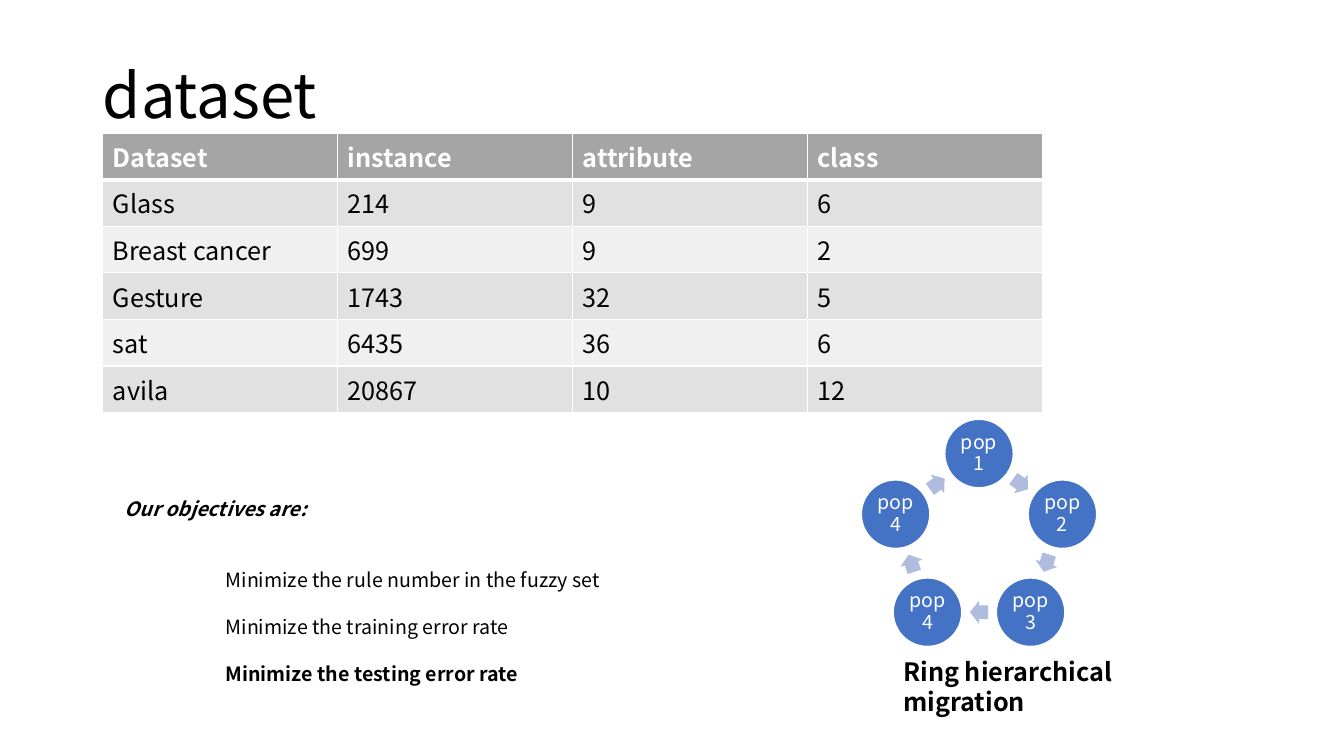
from math import cos, radians, sin

from lxml.etree import SubElement
from pptx import Presentation
from pptx.dml.color import RGBColor
from pptx.enum.shapes import MSO_SHAPE as Form
from pptx.enum.text import MSO_ANCHOR as Anchor, PP_ALIGN as Align
from pptx.oxml import parse_xml
from pptx.oxml.ns import nsdecls, qn
from pptx.util import Inches, Pt

BLACK = RGBColor(0x00, 0x00, 0x00)
WHITE = RGBColor(0xFF, 0xFF, 0xFF)
GREY = RGBColor(0xA5, 0xA5, 0xA5)
BANDS = RGBColor(0xE1, 0xE1, 0xE1), RGBColor(0xF0, 0xF0, 0xF0)
BLUE = RGBColor(0x44, 0x72, 0xC4)
PALE = RGBColor(0xB0, 0xBC, 0xDE)

ROWS = [
    ("Dataset", "instance", "attribute", "class"),
    ("Glass", "214", "9", "6"),
    ("Breast cancer", "699", "9", "2"),
    ("Gesture", "1743", "32", "5"),
    ("sat", "6435", "36", "6"),
    ("avila", "20867", "10", "12"),
]
GOALS = [
    "Minimize the rule number in the fuzzy set",
    "Minimize the training error rate",
    "Minimize the testing error rate",
]
POPS = ["pop1", "pop2", "pop3", "pop4", "pop4"]


class Deck:
    font = "Noto Sans CJK SC"

    def __init__(self):
        self.file = Presentation()
        self.file.slide_width = Inches(13.33)
        self.file.slide_height = Inches(7.5)
        self.slide = self.file.slides.add_slide(self.file.slide_layouts[5])

    def style(self, para, size, color=BLACK, bold=False, italic=False):
        for run in para.runs:
            font = run.font
            font.name, font.size = self.font, Pt(size)
            font.bold, font.italic = bold, italic
            font.color.rgb = color

    def title(self, text, *box):
        head = self.slide.shapes.title
        head.left, head.top, head.width, head.height = map(Inches, box)
        frame = head.text_frame
        frame.text = text
        frame.vertical_anchor = Anchor.MIDDLE
        para = frame.paragraphs[0]
        para.alignment = Align.LEFT
        para.line_spacing = 0.9
        self.style(para, 44)

    def table(self, rows, x, y, wide, high):
        table = self.slide.shapes.add_table(
            len(rows), len(rows[0]), Inches(x), Inches(y),
            Inches(wide * len(rows[0])), Inches(high * len(rows))).table
        for col in table.columns:
            col.width = Inches(wide)
        for r, row in enumerate(rows):
            table.rows[r].height = Inches(high)
            for c, text in enumerate(row):
                cell = table.cell(r, c)
                cell.text = text
                self.style(cell.text_frame.paragraphs[0], 18,
                           BLACK if r else WHITE, bold=r == 0)
                cell.fill.solid()
                cell.fill.fore_color.rgb = BANDS[(r - 1) % 2] if r else GREY
                self.edge(cell, 3 if r == 1 else 1, 1 if r else 3)

    def edge(self, cell, top, base):
        props = cell._tc.get_or_add_tcPr()
        sides = {"lnL": 1, "lnR": 1, "lnT": top, "lnB": base}
        for spot, (side, size) in enumerate(sides.items()):
            props.insert(spot, parse_xml(
                f'<a:{side} {nsdecls("a")} w="{Pt(size)}"><a:solidFill>'
                f'<a:srgbClr val="{WHITE}"/></a:solidFill></a:{side}>'))

    def text(self, lines, *box):
        frame = self.slide.shapes.add_textbox(*map(Inches, box)).text_frame
        frame.word_wrap = True
        frame.text = "\n".join(lines)
        return frame.paragraphs

    def shape(self, form, x, y, wide, high, fill):
        shape = self.slide.shapes.add_shape(
            form, Inches(x - wide / 2), Inches(y - high / 2),
            Inches(wide), Inches(high))
        shape.shadow.inherit = False
        shape.fill.solid()
        shape.fill.fore_color.rgb = fill
        shape.line.fill.background()
        return shape

    def node(self, text, x, y):
        node = self.shape(Form.OVAL, x, y, 0.68, 0.68, BLUE)
        node.line.color.rgb = WHITE
        node.line.width = Pt(1)
        frame = node.text_frame
        frame.text = text
        frame.word_wrap = True
        frame.vertical_anchor = Anchor.MIDDLE
        frame.margin_left = frame.margin_right = Inches(0.02)
        frame.margin_top = frame.margin_bottom = Inches(0.02)
        para = frame.paragraphs[0]
        para.alignment = Align.CENTER
        para.line_spacing = 0.9
        self.style(para, 14, WHITE)

    def arrow(self, x, y, turn):
        arrow = self.shape(Form.RIGHT_ARROW, x, y, 0.18, 0.23, PALE)
        arrow.adjustments[0] = 0.6
        arrow.adjustments[1] = 0.5
        arrow.rotation = turn

    def ring(self, names, x, y, size):
        step = 360 / len(names)

        def spot(turn, reach):
            return x + reach * sin(radians(turn)), y - reach * cos(radians(turn))

        for i, name in enumerate(names):
            self.node(name, *spot(i * step, size))
            half = (i + 0.5) * step
            self.arrow(*spot(half, size * cos(radians(step / 2))), half % 360)

    def goals(self, head, goals, *box):
        paras = self.text([head, *goals], *box)
        self.style(paras[0], 14, bold=True, italic=True)
        for i, para in enumerate(paras[1:]):
            para._p.get_or_add_pPr().set("marL", str(Inches(1)))
            para.space_before = Pt(16.8 if i else 33.6)
            self.style(para, 14, bold=i == len(goals) - 1)


def main():
    deck = Deck()
    deck.title("dataset", 0.92, 0.4, 2.84, 1.15)
    deck.table(ROWS, 1.02, 1.32, 2.33, 0.41)
    deck.goals("Our objectives are:", GOALS, 1.14, 4.88, 6.17, 1.99)
    deck.ring(POPS, 9.71, 5.37, 0.87)
    label = deck.text(["Ring hierarchical migration"], 8.86, 6.46, 2.7, 0.71)
    deck.style(label[0], 18, bold=True)
    deck.file.save("out.pptx")


if __name__ == "__main__":
    main()
